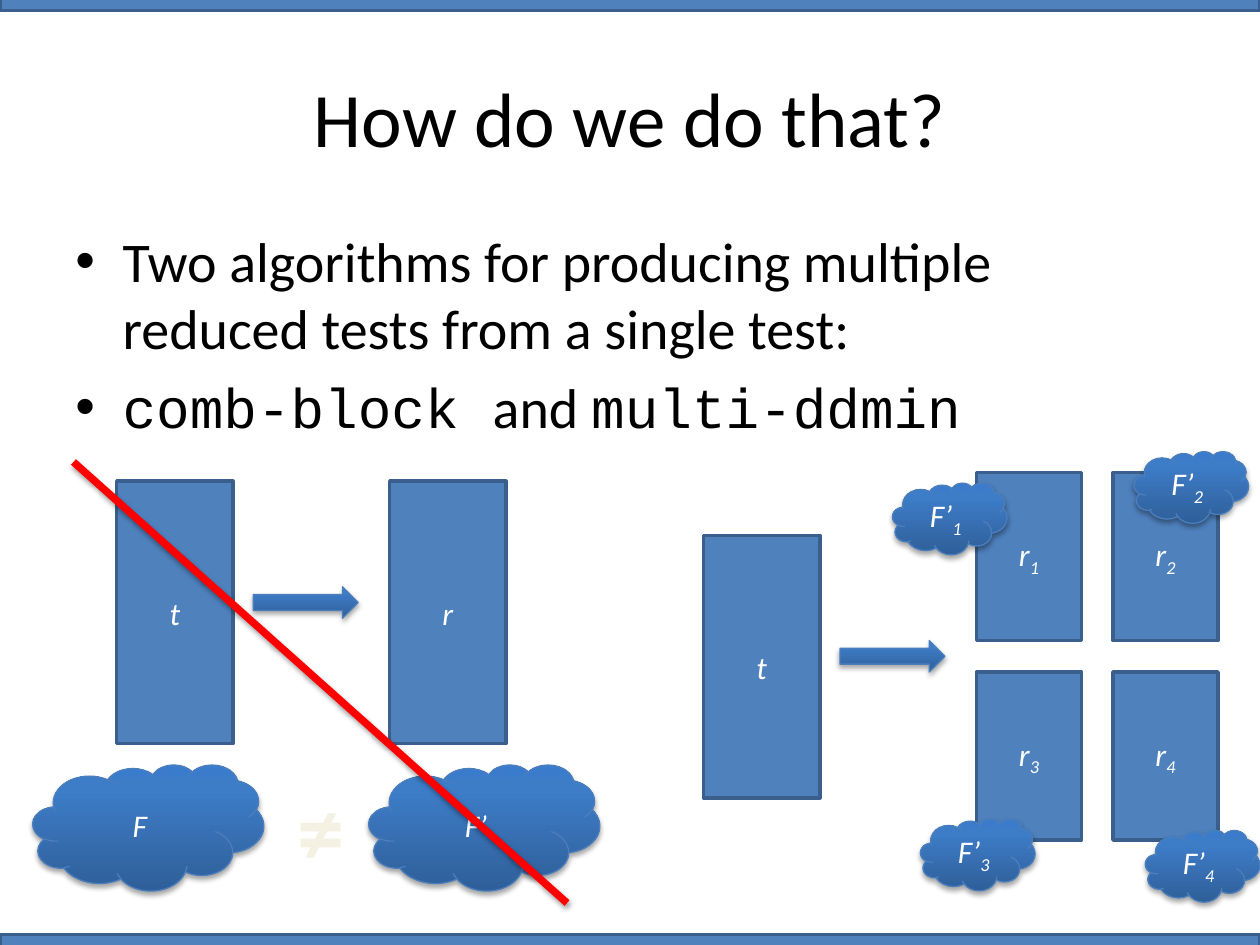
from copy import deepcopy
from dataclasses import dataclass

from lxml import etree
from pptx import Presentation
from pptx.dml.color import RGBColor
from pptx.enum.shapes import MSO_CONNECTOR, MSO_SHAPE
from pptx.enum.text import MSO_ANCHOR, PP_ALIGN
from pptx.oxml.ns import qn
from pptx.util import Pt

RECTANGLE = MSO_SHAPE.RECTANGLE
ARROW = MSO_SHAPE.RIGHT_ARROW
CLOUD = MSO_SHAPE.CLOUD
STRAIGHT = MSO_CONNECTOR.STRAIGHT
CENTER = PP_ALIGN.CENTER
MIDDLE = MSO_ANCHOR.MIDDLE

BODY_FONT, CODE_FONT = "Calibri", "Courier New"
GRADIENT = [(0, "2F5F99"), (0.8, "3D7CC7"), (1, "3A7CCB")]


@dataclass
class Item:
    kind: int
    left: float
    top: float
    width: float
    height: float
    label: str = ""
    index: str = ""


def color(value: str) -> RGBColor:
    return RGBColor.from_string(value)


def style_font(font, size: float, value: str, name: str = BODY_FONT) -> None:
    font.name, font.size = name, Pt(size)
    font.color.rgb = color(value)


def add_shadow(effects, blur: float, distance: float, alpha: int) -> None:
    shadow = etree.SubElement(
        effects, qn("a:outerShdw"), blurRad=str(Pt(blur)), dist=str(Pt(distance)),
        dir="5400000", rotWithShape="0")
    black = etree.SubElement(shadow, qn("a:srgbClr"), val="000000")
    etree.SubElement(black, qn("a:alpha"), val=str(alpha * 1000))


def fill_gradient(shape) -> None:
    shape.fill.gradient()
    shape.fill.gradient_angle = 90
    stops = shape._element.spPr.find(".//" + qn("a:gsLst"))
    stops.append(deepcopy(stops[-1]))
    for stop, (position, value) in zip(shape.fill.gradient_stops, GRADIENT):
        stop.position = position
        stop.color.rgb = color(value)


def draw_item(page, item: Item) -> None:
    shape = page.shapes.add_shape(
        item.kind, Pt(item.left), Pt(item.top), Pt(item.width), Pt(item.height))
    flat = item.kind == RECTANGLE
    if flat:
        shape.fill.solid()
        shape.fill.fore_color.rgb = color("4F81BD")
    else:
        fill_gradient(shape)
    shape.line.color.rgb = color("3A5F8C" if flat else "4B7EBC")
    shape.line.width = Pt(2 if flat else 0.75)
    shape.shadow.inherit = False
    if not flat:
        add_shadow(shape._element.spPr.find(qn("a:effectLst")), 3.1, 1.8, 35)
    if item.label:
        shape.text_frame.vertical_anchor = MIDDLE
        para = shape.text_frame.paragraphs[0]
        para.alignment = CENTER
        style_font(para.font, 18, "FFFFFF")
        para.font.italic = True
        para.add_run().text = item.label
        if item.index:
            span = para.add_run()
            span.text = item.index
            span.font._element.set("baseline", "-25000")


def add_bullet(para, spans: list[tuple[str, str]]) -> None:
    para.space_before = Pt(6.4)
    properties = para._p.get_or_add_pPr()
    properties.set("marL", str(Pt(27)))
    properties.set("indent", str(Pt(-27)))
    etree.SubElement(properties, qn("a:buFont"), typeface="Arial")
    etree.SubElement(properties, qn("a:buChar"), char="•")
    for text, font_name in spans:
        span = para.add_run()
        span.text = text
        style_font(span.font, 32, "000000", font_name)


deck = Presentation()
deck.slide_width, deck.slide_height = Pt(720), Pt(540)
page = deck.slides.add_slide(deck.slide_layouts[5])

# Bars along the top and bottom edges
for top in (534, -6):
    draw_item(page, Item(RECTANGLE, 0, top, 720, 12))

# Title
title = page.shapes.title
title.left, title.top, title.width, title.height = Pt(36), Pt(21.6), Pt(648), Pt(90)
title.text_frame.text = "How do we do that?"
title.text_frame.vertical_anchor = MIDDLE
title_para = title.text_frame.paragraphs[0]
title_para.alignment = CENTER
style_font(title_para.font, 44, "000000")

# Bullets
body = page.shapes.add_textbox(Pt(36), Pt(126), Pt(648), Pt(356.4)).text_frame
body.word_wrap = True
add_bullet(body.paragraphs[0], [
    ("Two algorithms for producing multiple reduced tests from a single test:", BODY_FONT)])
add_bullet(body.add_paragraph(), [
    ("comb-block ", CODE_FONT), ("and ", BODY_FONT), ("multi-ddmin", CODE_FONT)])

# Single reduction, on the left
for item in (
    Item(RECTANGLE, 66.7, 275, 66.5, 150, "t"),
    Item(RECTANGLE, 222.7, 275, 66.5, 150, "r"),
    Item(ARROW, 144.7, 335.3, 60, 18),
    Item(CLOUD, 18.7, 437, 132, 72, "F"),
    Item(CLOUD, 210.7, 437, 132, 72, "F’"),
):
    draw_item(page, item)

unequal = page.shapes.add_textbox(Pt(162.7), Pt(437), Pt(41.8), Pt(72.7)).text_frame
unequal.word_wrap = False
unequal.text = "≠"
sign = unequal.paragraphs[0]
sign.alignment = CENTER
style_font(sign.font, 54, "F4F1E3")
sign.font.bold = True

# Red strike through the left side
strike = page.shapes.add_connector(STRAIGHT, Pt(324), Pt(516), Pt(42), Pt(264))
strike.line.color.rgb = color("FF0000")
strike.line.width = Pt(4.25)
strike_effects = etree.SubElement(strike._element.spPr, qn("a:effectLst"))
add_shadow(strike_effects, 3.1, 1.6, 38)

# Multiple reductions, on the right
draw_item(page, Item(RECTANGLE, 402, 306, 66.5, 150, "t"))
draw_item(page, Item(ARROW, 480, 366, 60, 18))
for number in range(4):
    row, column = divmod(number, 2)
    draw_item(page, Item(RECTANGLE, 558 + 78 * column, 270 + 114 * row, 60, 96,
                         "r", str(number + 1)))
cloud_corners = [(510, 276), (648, 258), (526, 468), (654.5, 474.5)]
for number, (left, top) in enumerate(cloud_corners, 1):
    draw_item(page, Item(CLOUD, left, top, 65.5, 41, "F’", str(number)))

deck.save("out.pptx")
